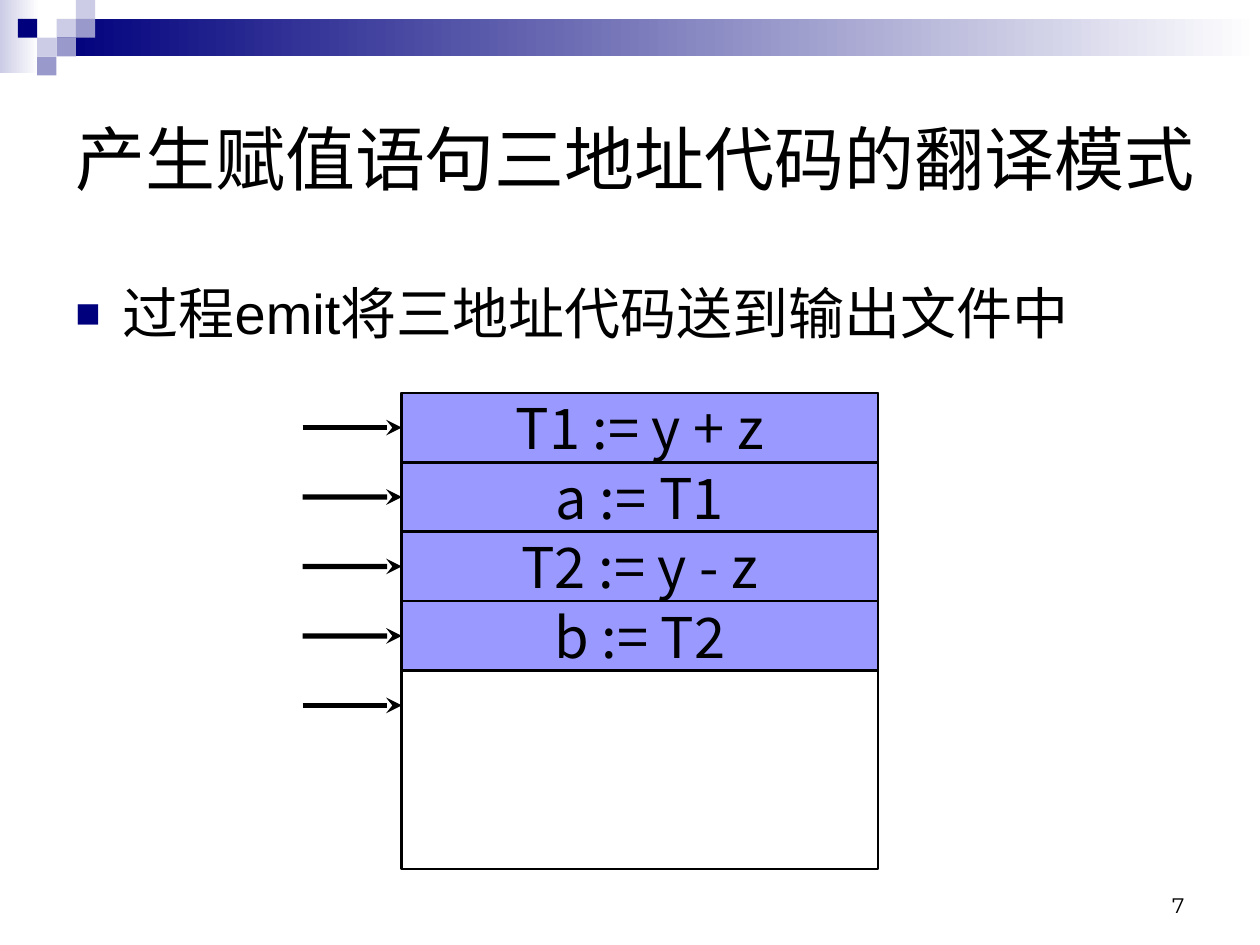
from lxml import etree
from pptx import Presentation
from pptx.dml.color import RGBColor
from pptx.enum.shapes import MSO_CONNECTOR, MSO_SHAPE
from pptx.enum.text import MSO_ANCHOR, PP_ALIGN
from pptx.oxml.ns import qn
from pptx.util import Cm, Pt

RECT = MSO_SHAPE.RECTANGLE
LINE = MSO_CONNECTOR.STRAIGHT
TOP, MIDDLE, BOTTOM = MSO_ANCHOR.TOP, MSO_ANCHOR.MIDDLE, MSO_ANCHOR.BOTTOM
LEFT, CENTER, RIGHT = PP_ALIGN.LEFT, PP_ALIGN.CENTER, PP_ALIGN.RIGHT

CJK = "Noto Sans CJK SC"
NAVY, MID, PALE = "00007D", "9999CC", "CCCCE6"
BLACK, WHITE, LILAC = "000000", "FFFFFF", "9999FF"

CODE = ["T1 := y + z", "a := T1", "T2 := y - z", "b := T2"]
SQUARES = [(2, 1, PALE), (3, 0, PALE), (3, 1, MID), (1, 2, PALE),
           (0, 1, NAVY), (2, 2, MID), (1, 3, MID)]
STEP = 0.38

FILE_X, FILE_Y, FILE_W, FILE_H = 8.1, 7.92, 9.6, 9.6
ROW_H = 1.4
TAIL_X = 6.1


def color(code):
    return RGBColor.from_string(code)


def write(shape, text, size=32, font="Arial", align=LEFT, anchor=TOP, wrap=True):
    frame = shape.text_frame
    frame.word_wrap = wrap
    frame.vertical_anchor = anchor
    para = frame.paragraphs[0]
    para.alignment = align
    run = para.add_run()
    run.text = text
    run.font.size = Pt(size)
    run.font.name = font
    run.font.color.rgb = color(BLACK)
    etree.SubElement(run._r.get_or_add_rPr(), qn("a:ea"), typeface=CJK)
    return para


def add_text(slide, text, x, y, w, h, **style):
    box = slide.shapes.add_textbox(Cm(x), Cm(y), Cm(w), Cm(h))
    return write(box, text, **style)


def add_bullet(para):
    props = para._p.get_or_add_pPr()
    props.set("marL", str(Cm(0.95)))
    props.set("indent", str(-Cm(0.95)))
    tint = etree.SubElement(props, qn("a:buClr"))
    etree.SubElement(tint, qn("a:srgbClr"), val=NAVY)
    etree.SubElement(props, qn("a:buSzPct"), val="75000")
    etree.SubElement(props, qn("a:buFont"), typeface="Arial")
    etree.SubElement(props, qn("a:buChar"), char="■")


def add_rect(slide, x, y, w, h, fill=None, fade=None, line=None):
    """Draw a rectangle; fade is the colour that the fill runs to."""
    rect = slide.shapes.add_shape(RECT, Cm(x), Cm(y), Cm(w), Cm(h))
    rect.shadow.inherit = False
    if fade:
        rect.fill.gradient()
        rect.fill.gradient_angle = 0
        for stop, code in zip(rect.fill.gradient_stops, (fill, fade)):
            stop.color.rgb = color(code)
    elif fill:
        rect.fill.solid()
        rect.fill.fore_color.rgb = color(fill)
    else:
        rect.fill.background()
    if line:
        rect.line.color.rgb = color(line)
        rect.line.width = Pt(1.5)
    else:
        rect.line.fill.background()
    return rect


def add_arrow(slide, y, row=None):
    """Point at the file's left edge, joined to a row if there is one."""
    arrow = slide.shapes.add_connector(
        LINE, Cm(TAIL_X), Cm(y), Cm(FILE_X), Cm(y))
    if row is not None:
        arrow.end_connect(row, 1)
    arrow.line.color.rgb = color(BLACK)
    arrow.line.width = Pt(3)
    etree.SubElement(arrow.line._get_or_add_ln(), qn("a:tailEnd"), type="stealth")
    etree.SubElement(arrow._element.spPr, qn("a:effectLst"))


def add_header(slide):
    add_rect(slide, 0, 0, 0.79, 1.47, PALE, fade=WHITE)
    add_rect(slide, 1.14, STEP, 24.26, 0.76, NAVY, fade=WHITE)
    for col, row, fill in SQUARES:
        add_rect(slide, 0.36 + col * 0.39, row * STEP, 0.39, STEP, fill)


def add_file(slide):
    """Stack the code rows in the output file, with an arrow at each."""
    rows = []
    for i, code in enumerate(CODE):
        row = add_rect(slide, FILE_X, FILE_Y + i * ROW_H, FILE_W, ROW_H,
                       LILAC, line=BLACK)
        write(row, code, font=CJK, align=CENTER, anchor=MIDDLE, wrap=False)
        rows.append(row)
    add_rect(slide, FILE_X, FILE_Y, FILE_W, FILE_H, line=BLACK)
    for i, row in enumerate(rows + [None]):
        add_arrow(slide, FILE_Y + (i + 0.5) * ROW_H, row)


def main():
    deck = Presentation()
    deck.slide_width, deck.slide_height = Cm(25.4), Cm(19.05)
    slide = deck.slides.add_slide(deck.slide_layouts[6])
    add_header(slide)
    add_text(slide, "7", 18.2, 17.35, 5.93, 1.27, size=12,
             font="Montserrat", align=RIGHT, anchor=BOTTOM)
    add_text(slide, "产生赋值语句三地址代码的翻译模式",
             1.27, 1.27, 23.45, 3.81, size=40, anchor=MIDDLE)
    para = add_text(slide, "过程emit将三地址代码送到输出文件中",
                    1.27, 5.5, 22.86, 10.8)
    add_bullet(para)
    add_file(slide)
    deck.save("out.pptx")


if __name__ == "__main__":
    main()
